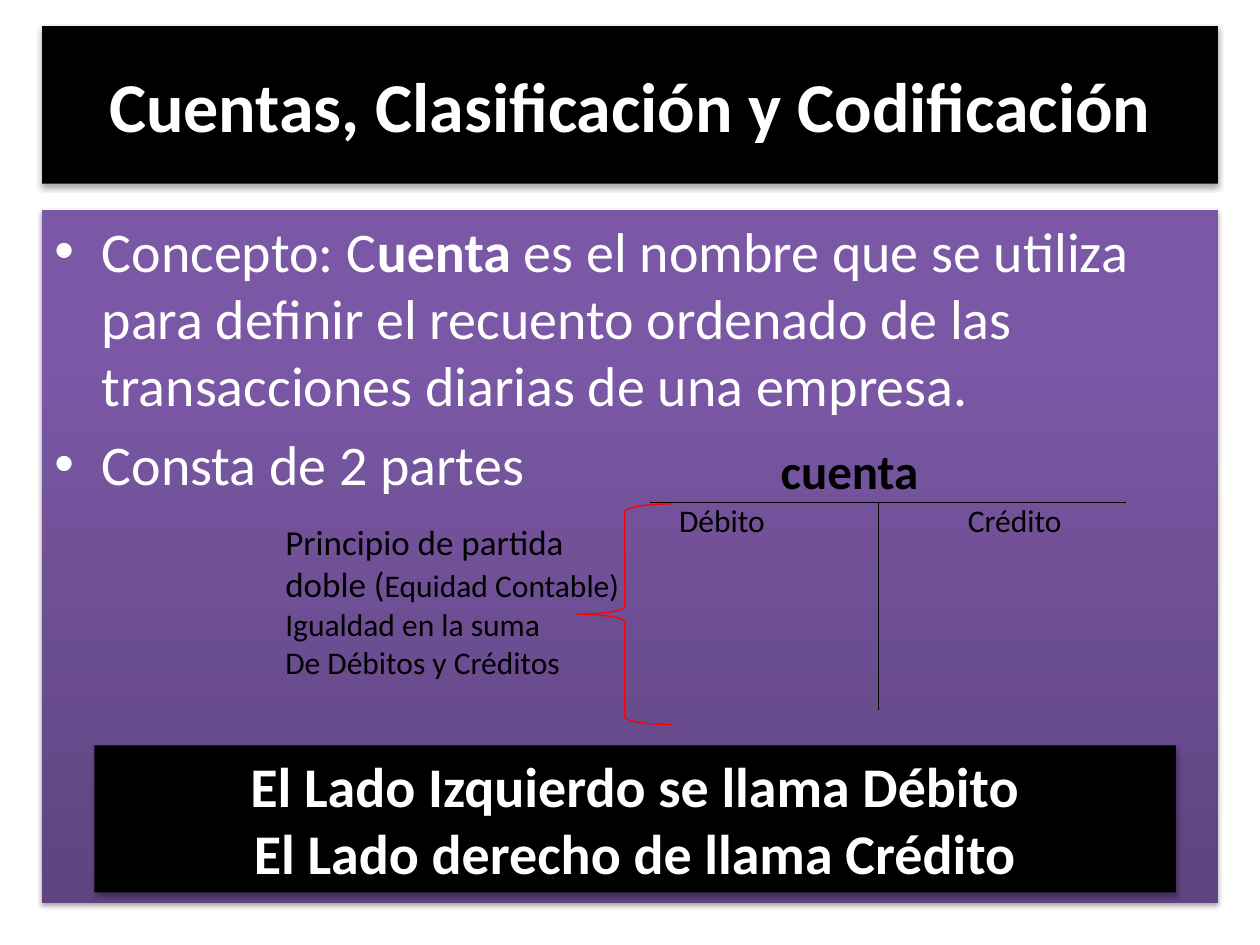
from copy import deepcopy
from dataclasses import dataclass

from pptx import Presentation
from pptx.dml.color import RGBColor
from pptx.enum.shapes import MSO_CONNECTOR, MSO_SHAPE
from pptx.enum.text import MSO_ANCHOR, MSO_AUTO_SIZE, PP_ALIGN
from pptx.oxml.ns import qn
from pptx.oxml.xmlchemy import OxmlElement
from pptx.util import Pt

RECTANGLE, LEFT_BRACE = MSO_SHAPE.RECTANGLE, MSO_SHAPE.LEFT_BRACE
STRAIGHT = MSO_CONNECTOR.STRAIGHT
TOP, MIDDLE = MSO_ANCHOR.TOP, MSO_ANCHOR.MIDDLE
LEFT, CENTER = PP_ALIGN.LEFT, PP_ALIGN.CENTER
GROW, FIXED = MSO_AUTO_SIZE.SHAPE_TO_FIT_TEXT, MSO_AUTO_SIZE.NONE


@dataclass(frozen=True)
class Theme:
    font: str = "Calibri"
    black: RGBColor = RGBColor(0, 0, 0)
    white: RGBColor = RGBColor(255, 255, 255)
    red: RGBColor = RGBColor(255, 0, 0)
    # Position and colour, from the bottom of the panel to its top
    purple: tuple = ((0, "5F4480"), (0.8, "7B58A6"), (1, "7C57A8"))
    title: int = 40
    body: int = 32
    heading: int = 28
    note: int = 20
    label: int = 18
    line: float = 0.75


THEME = Theme()


@dataclass(frozen=True)
class Area:
    left: float
    top: float
    width: float
    height: float

    def lengths(self) -> tuple:
        return tuple(Pt(n) for n in (self.left, self.top, self.width, self.height))


@dataclass(frozen=True)
class Span:
    text: str
    size: int
    bold: bool = False


@dataclass(frozen=True)
class Label:
    text: str
    area: Area
    size: int
    bold: bool = False


def write_text(shape, paragraphs, *, color=THEME.black, align=LEFT, anchor=TOP,
               wrap=True, fit=FIXED, bullet=False, gap=0):
    """Fill a shape with paragraphs, each one a list of spans."""
    frame = shape.text_frame
    frame.word_wrap, frame.auto_size = wrap, fit
    frame.vertical_anchor = anchor
    for index, spans in enumerate(paragraphs):
        para = frame.add_paragraph() if index else frame.paragraphs[0]
        para.alignment = align
        if index and gap:
            para.space_before = Pt(gap)
        if bullet:
            add_bullet(para)
        for span in spans:
            run = para.add_run()
            run.text = span.text
            run.font.name, run.font.size = THEME.font, Pt(span.size)
            run.font.bold, run.font.color.rgb = span.bold, color


def add_bullet(para, indent=27):
    properties = para._p.get_or_add_pPr()
    properties.set("marL", str(Pt(indent)))
    properties.set("indent", str(-Pt(indent)))
    font, mark = OxmlElement("a:buFont"), OxmlElement("a:buChar")
    font.set("typeface", "Arial")
    mark.set("char", "•")
    properties.extend((font, mark))


def add_shadow(shape):
    """Give a shape a soft shadow straight below it."""
    shape.shadow.inherit = False
    shadow, color, alpha = (OxmlElement(f"a:{tag}") for tag in ("outerShdw", "srgbClr", "alpha"))
    for name, value in (("blurRad", Pt(3.1)), ("dist", Pt(1.8)),
                        ("dir", 90 * 60000), ("rotWithShape", 0)):
        shadow.set(name, str(int(value)))
    color.set("val", str(THEME.black))
    alpha.set("val", "35000")
    color.append(alpha)
    shadow.append(color)
    shape._element.spPr.find(qn("a:effectLst")).append(shadow)


def fill_black(shape):
    shape.fill.solid()
    shape.fill.fore_color.rgb = THEME.black


def fill_purple(shape):
    shape.fill.gradient()
    shape.fill.gradient_angle = 90
    stop_list = shape._element.spPr.find(".//" + qn("a:gsLst"))
    stop_list.append(deepcopy(stop_list[0]))
    for stop, (position, color) in zip(shape.fill.gradient_stops, THEME.purple):
        stop.position, stop.color.rgb = position, RGBColor.from_string(color)


def add_panel(page, area: Area, paint):
    panel = page.shapes.add_shape(RECTANGLE, *area.lengths())
    paint(panel)
    panel.line.fill.background()
    add_shadow(panel)
    return panel


def add_line(page, *ends: float):
    line = page.shapes.add_connector(STRAIGHT, *(Pt(n) for n in ends))
    line.line.color.rgb, line.line.width = THEME.black, Pt(THEME.line)
    line._element.spPr.append(OxmlElement("a:effectLst"))


def add_label(page, label: Label):
    box = page.shapes.add_textbox(*label.area.lengths())
    write_text(box, [[Span(label.text, label.size, label.bold)]], wrap=False, fit=GROW)


def main():
    deck = Presentation()
    deck.slide_width, deck.slide_height = Pt(720), Pt(540)
    page = deck.slides.add_slide(deck.slide_layouts[5])

    # Title
    title = page.shapes.title
    title.left, title.top, title.width, title.height = Area(24, 15, 672, 90).lengths()
    fill_black(title)
    add_shadow(title)
    write_text(title, [[Span("Cuentas, Clasificación y Codificación", THEME.title, True)]],
               color=THEME.white, align=CENTER, anchor=MIDDLE)

    # Concept
    concept = add_panel(page, Area(24, 120, 672, 396), fill_purple)
    write_text(concept, [
        [Span("Concepto: C", THEME.body), Span("uenta", THEME.body, True),
         Span(" es el nombre que se utiliza para definir el recuento ordenado "
              "de las transacciones diarias de una empresa.", THEME.body)],
        [Span("Consta de 2 partes", THEME.body)],
    ], color=THEME.white, bullet=True, gap=6.4)

    # T account
    bar, stem = 287, 502
    add_line(page, 371.5, bar, 643.5, bar)
    add_line(page, stem, bar, stem, 406)
    for label in (
        Label("cuenta", Area(439, 248, 105, 41), THEME.heading, True),
        Label("Débito", Area(381, 283, 66, 29), THEME.label),
        Label("Crédito", Area(546, 283, 73, 29), THEME.label),
    ):
        add_label(page, label)

    # Debit and credit sides
    banner = add_panel(page, Area(54, 426, 618, 84), fill_black)
    sides = ("El Lado Izquierdo se llama Débito", "El Lado derecho de llama Crédito")
    write_text(banner, [[Span(side, THEME.body, True)] for side in sides],
               color=THEME.white, align=CENTER, fit=GROW)

    # Double entry principle and its brace
    principle = page.shapes.add_textbox(*Area(156, 294, 210, 121).lengths())
    write_text(principle, [
        [Span("Principio de partida doble (", THEME.note),
         Span("Equidad Contable)", THEME.label)],
        [Span("Igualdad en la suma", THEME.label)],
        [Span("De Débitos y Créditos", THEME.label)],
    ], fit=GROW)
    brace = page.shapes.add_shape(LEFT_BRACE, *Area(330, 288, 54, 126).lengths())
    brace.fill.background()
    brace.line.color.rgb, brace.line.width = THEME.red, Pt(THEME.line)
    brace.shadow.inherit = False

    deck.save("out.pptx")


if __name__ == "__main__":
    main()
